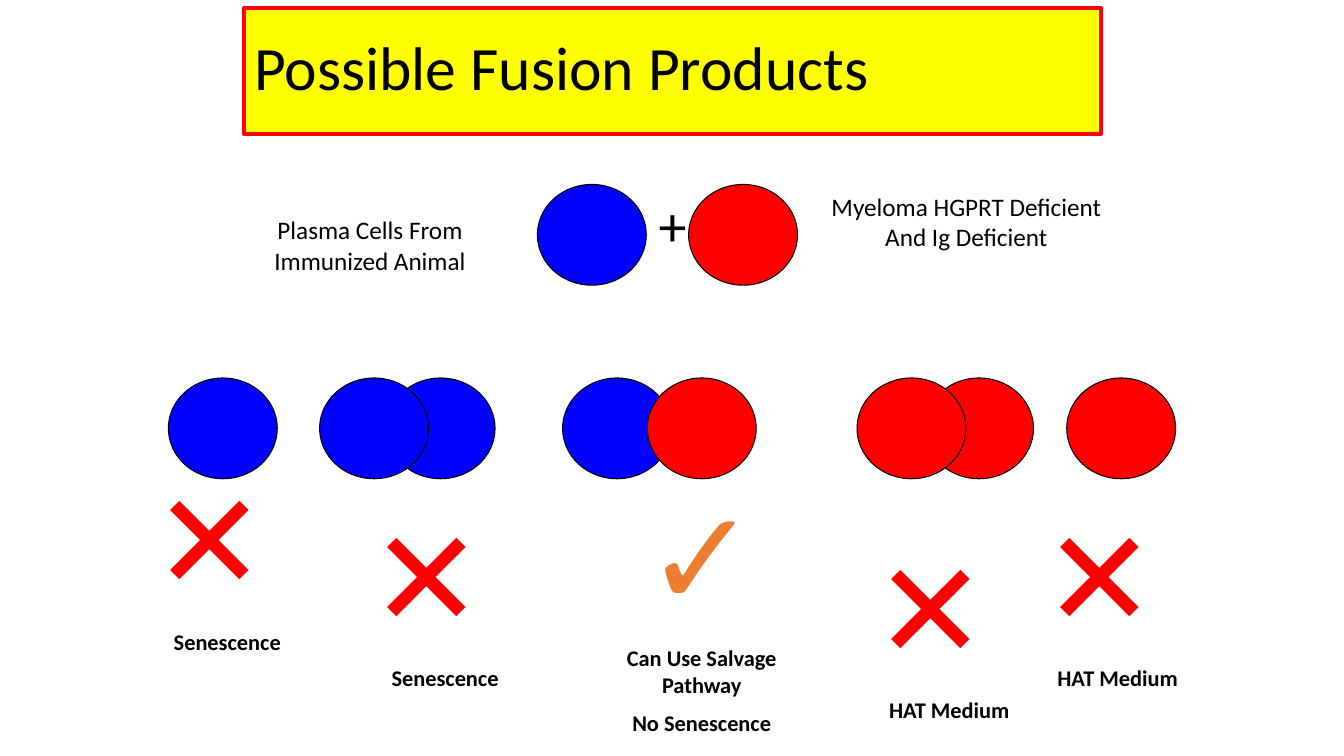
import pptx
import pptx.dml.color
import pptx.enum.shapes
import pptx.enum.text
import pptx.util
from lxml import etree

Inches, Pt = pptx.util.Inches, pptx.util.Pt
RGB = pptx.dml.color.RGBColor.from_string
CENTER = pptx.enum.text.PP_ALIGN.CENTER
LEFT = pptx.enum.text.PP_ALIGN.LEFT
AUTO = pptx.enum.text.MSO_AUTO_SIZE


class Theme:
    font = "Calibri"
    black, blue, red = RGB("000000"), RGB("0000FF"), RGB("FF0000")
    yellow, orange = RGB("FFFF00"), RGB("ED7D31")
    title, plus, parent, mark, label = Pt(44), Pt(40), Pt(18), Pt(96), Pt(16)
    gap = Pt(8)


def add_run(p, text, size, color=Theme.black, bold=False, align=CENTER):
    p.alignment = align
    r = p.add_run()
    r.text = text
    r.font.name, r.font.size, r.font.bold = Theme.font, size, bold
    r.font.color.rgb = color


def add_box(x, y, w, h):
    """Add a wrapping text box that grows with its text; return its frame."""
    tf = s.shapes.add_textbox(Inches(x), Inches(y), Inches(w), Inches(h)).text_frame
    tf.word_wrap = True
    tf.auto_size = AUTO.SHAPE_TO_FIT_TEXT
    return tf


prs = pptx.Presentation()
prs.slide_width, prs.slide_height = Inches(13.33), Inches(7.5)
s = prs.slides.add_slide(prs.slide_layouts[1])

# Title
title = s.shapes.title
title.left, title.top = Inches(2.42), Inches(0.08)
title.width, title.height = Inches(8.5), Inches(1.25)
title.fill.solid()
title.fill.fore_color.rgb = Theme.yellow
title.line.color.rgb = Theme.red
title.line.width = Pt(3)
tf = title.text_frame
tf.auto_size = AUTO.NONE
tf.vertical_anchor = pptx.enum.text.MSO_ANCHOR.MIDDLE
tf.paragraphs[0].line_spacing = 0.9
add_run(tf.paragraphs[0], "Possible Fusion Products", Theme.title, align=LEFT)

# Plus sign between the parent cells
body = s.placeholders[1]
body.left, body.top = Inches(1.67), Inches(1.92)
body.width, body.height = Inches(10), Inches(5.58)
body.text_frame.auto_size = AUTO.NONE
p = body.text_frame.paragraphs[0]
pPr = p._p.get_or_add_pPr()
pPr.set("marL", str(Inches(0.25)))
pPr.set("indent", str(Inches(-0.25)))
etree.SubElement(pPr, pptx.oxml.ns.qn("a:buNone"))
p.line_spacing = 0.9
p.space_before = Pt(0)
add_run(p, "+", Theme.plus)

# Cells, back to front: parents above, fusion products below
parent_y, product_y = 1.83, 3.75
cells = [
    (6.83, parent_y, Theme.red), (5.33, parent_y, Theme.blue),
    (1.67, product_y, Theme.blue),
    (3.83, product_y, Theme.blue), (3.17, product_y, Theme.blue),
    (9.17, product_y, Theme.red), (8.5, product_y, Theme.red),
    (10.58, product_y, Theme.red),
    (5.58, product_y, Theme.blue), (6.42, product_y, Theme.red),
]
for x, y, color in cells:
    sp = s.shapes.add_shape(pptx.enum.shapes.MSO_SHAPE.OVAL,
                            Inches(x), Inches(y), Inches(1.08), Inches(1))
    sp.shadow.inherit = False
    sp.fill.solid()
    sp.fill.fore_color.rgb = color
    sp.line.color.rgb = Theme.black
    sp.line.width = Pt(0.75)

# Parent names
for x, y, w, text in [
    (7.92, 1.85, 3.33, "Myeloma HGPRT Deficient And Ig Deficient"),
    (2.17, 2.08, 3, "Plasma Cells From Immunized Animal"),
]:
    add_run(add_box(x, y, w, 0.71).paragraphs[0], text, Theme.parent)

# Fate of each fusion product
cross = ("✕", Theme.red, LEFT)
check = ("✓", Theme.orange, CENTER)
fates = [
    (1.42, 4.47, 1.67, 2.1, cross, ["Senescence"]),
    (5.92, 4.63, 2.08, 2.77, check, ["Can Use Salvage Pathway", "No Senescence"]),
    (8.58, 5.15, 1.67, 2.1, cross, ["HAT Medium"]),
    (3.58, 4.83, 1.67, 2.1, cross, ["Senescence"]),
    (10.25, 4.83, 1.67, 2.1, cross, ["HAT Medium"]),
]
for x, y, w, h, (mark, color, align), labels in fates:
    tf = add_box(x, y, w, h)
    add_run(tf.paragraphs[0], mark, Theme.mark, color, align=align)
    for label in labels:
        p = tf.add_paragraph()
        p.space_before = Theme.gap
        add_run(p, label, Theme.label, bold=True)

prs.save("out.pptx")
